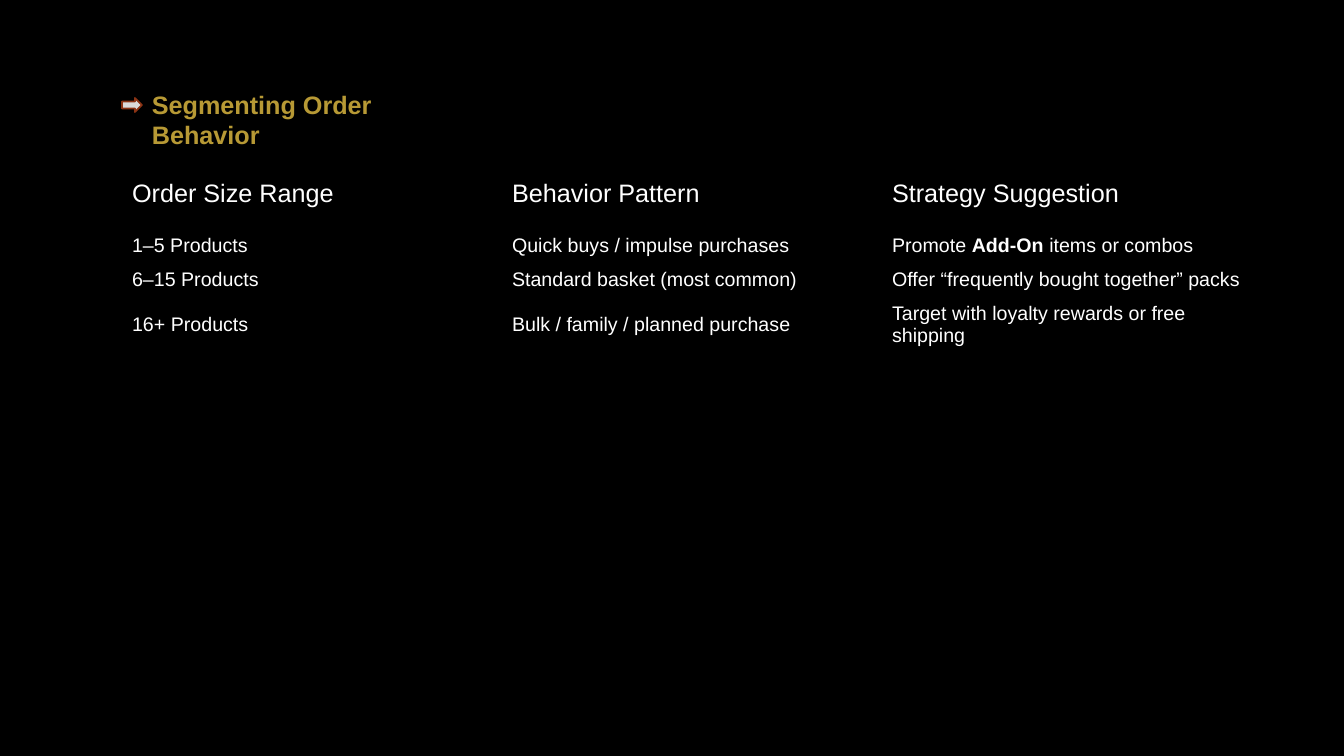
"""Build the slide on segmenting order behavior."""
from dataclasses import dataclass

from pptx import Presentation
from pptx.dml.color import RGBColor
from pptx.enum.shapes import MSO_SHAPE as Preset
from pptx.enum.text import MSO_ANCHOR as Anchor
from pptx.oxml.ns import qn
from pptx.slide import Slide
from pptx.text.text import _Paragraph as Paragraph
from pptx.util import Emu, Pt

EMU_PER_PX = 914400 / 100.8
COLORS = {
    "background": "000000",
    "title": "B79935",
    "body": "FFFFFF",
    "arrow": "DADADA",
    "arrow_edge": "8B3314",
}
NO_STYLE_NO_GRID = "{2D5ABB26-0587-4C30-8999-92F81FD0307C}"


@dataclass(frozen=True)
class Area:
    left: int
    top: int
    width: int
    height: int

    def emu(self) -> tuple[Emu, Emu, Emu, Emu]:
        return px(self.left), px(self.top), px(self.width), px(self.height)


@dataclass(frozen=True)
class Row:
    cells: tuple[str, str, str]
    height: int
    size: int = 14
    bold: str = ""


TITLE_AREA = Area(142, 84, 330, 40)
ARROW_AREA = Area(122, 98, 20, 14)
TABLE_AREA = Area(122, 159, 1140, 191)
ROWS = (
    Row(("Order Size Range", "Behavior Pattern", "Strategy Suggestion"), 70, 18),
    Row(("1–5 Products", "Quick buys / impulse purchases",
         "Promote Add-On items or combos"), 33, bold="Add-On"),
    Row(("6–15 Products", "Standard basket (most common)",
         "Offer “frequently bought together” packs"), 33),
    Row(("16+ Products", "Bulk / family / planned purchase",
         "Target with loyalty rewards or free shipping"), 55),
)


def px(length: int) -> Emu:
    return Emu(round(length * EMU_PER_PX))


def color(name: str) -> RGBColor:
    return RGBColor.from_string(COLORS[name])


def write(para: Paragraph, text: str, size: int, ink: str, bold: str = "") -> None:
    before, mark, after = text.partition(bold) if bold else (text, "", "")
    for part in filter(None, (before, mark, after)):
        span = para.add_run()
        span.text = part
        if part == bold:
            span.font.bold = True
    para.font.name = "Arial"
    para.font.size = Pt(size)
    para.font.color.rgb = color(ink)


def add_title(page: Slide) -> None:
    box = page.shapes.add_textbox(*TITLE_AREA.emu())
    box.text_frame.word_wrap = True
    para = box.text_frame.paragraphs[0]
    write(para, "Segmenting Order Behavior", 18, "title")
    para.font.bold = True


def add_segments(page: Slide) -> None:
    frame = page.shapes.add_table(len(ROWS), len(ROWS[0].cells), *TABLE_AREA.emu())
    table = frame.table
    table.first_row = table.horz_banding = False
    table._tbl.tblPr.find(qn("a:tableStyleId")).text = NO_STYLE_NO_GRID
    for line, row in zip(table.rows, ROWS):
        line.height = px(row.height)
        for cell, text in zip(line.cells, row.cells):
            cell.fill.background()
            cell.vertical_anchor = Anchor.MIDDLE
            bold = row.bold if row.bold in text else ""
            write(cell.text_frame.paragraphs[0], text, row.size, "body", bold)


def add_arrow(page: Slide) -> None:
    arrow = page.shapes.add_shape(Preset.RIGHT_ARROW, *ARROW_AREA.emu())
    arrow.shadow.inherit = False
    arrow.fill.solid()
    arrow.fill.fore_color.rgb = color("arrow")
    arrow.line.color.rgb = color("arrow_edge")
    arrow.line.width = Pt(1.25)


def main() -> None:
    deck = Presentation()
    deck.slide_width, deck.slide_height = px(1344), px(756)
    page = deck.slides.add_slide(deck.slide_layouts[6])
    page.background.fill.solid()
    page.background.fill.fore_color.rgb = color("background")
    add_title(page)
    add_segments(page)
    add_arrow(page)
    deck.save("out.pptx")


if __name__ == "__main__":
    main()
